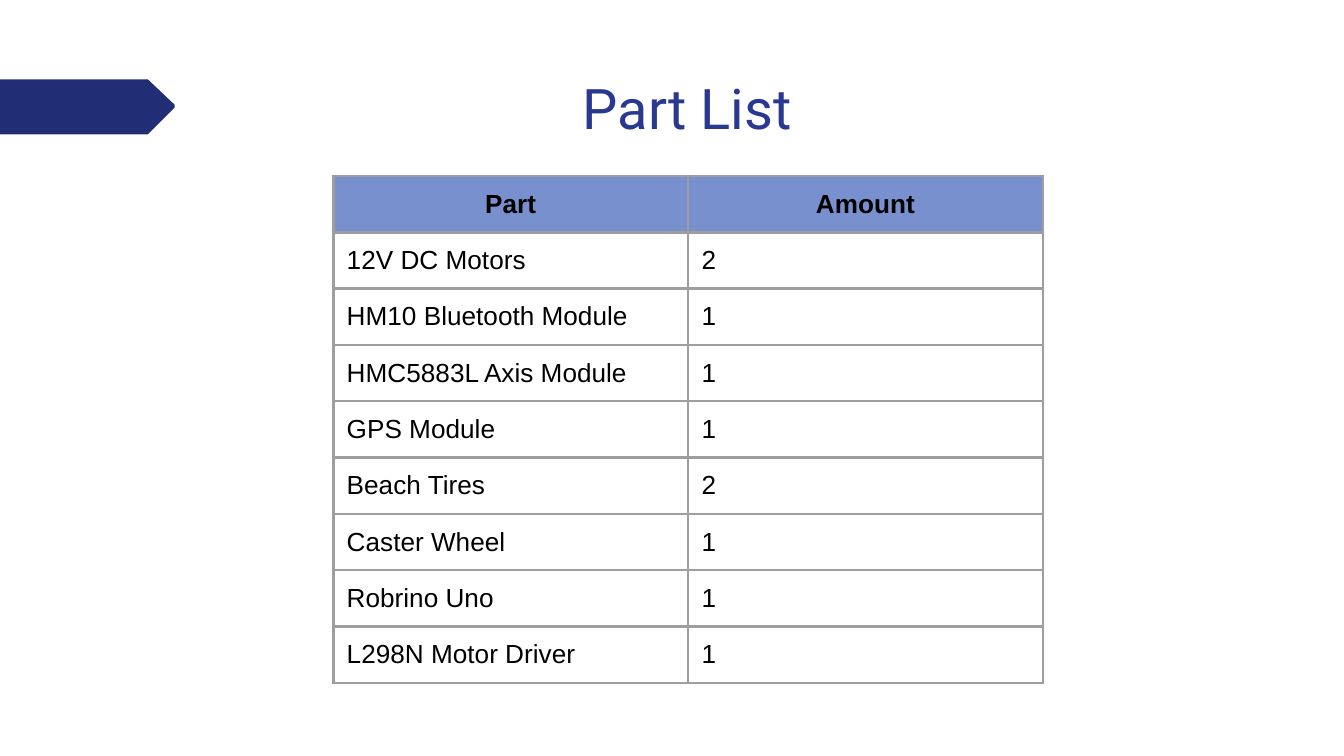
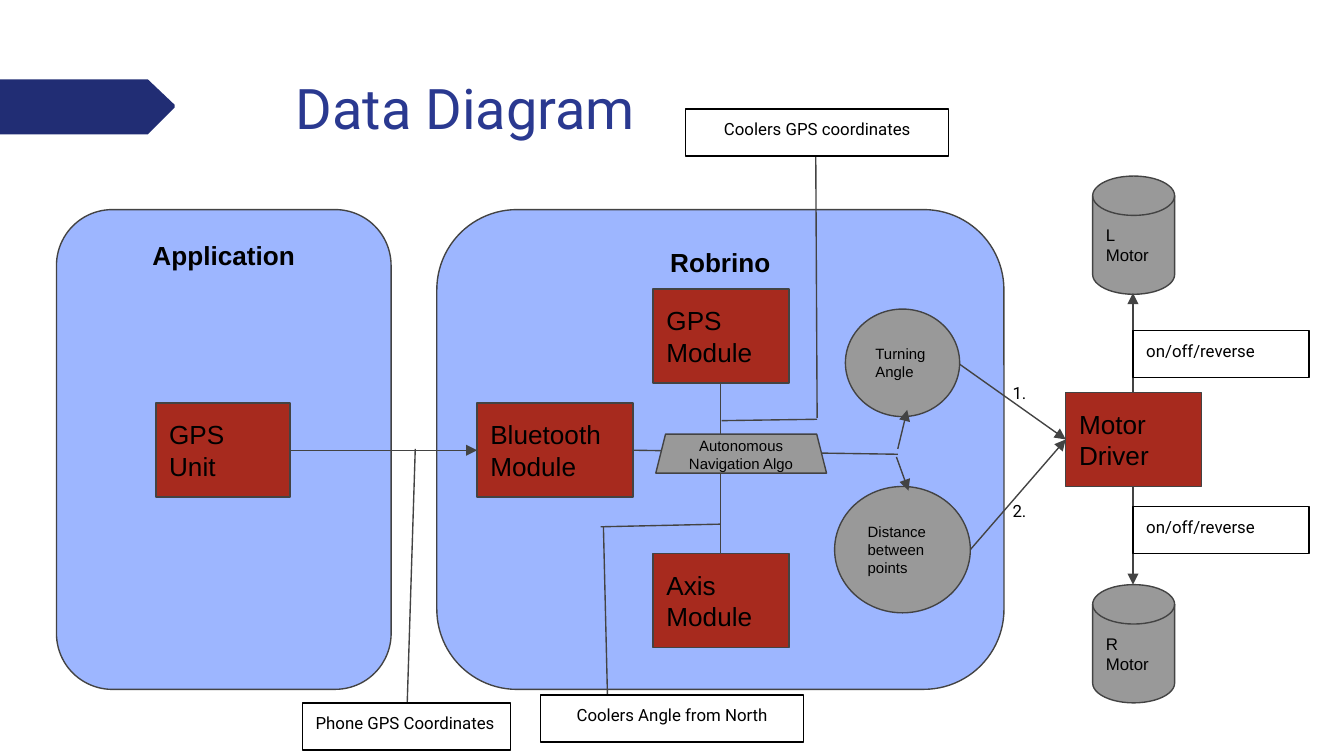
from typing import NamedTuple

from lxml.etree import SubElement
from pptx import Presentation
from pptx.dml.color import RGBColor
from pptx.enum.shapes import MSO_CONNECTOR, MSO_SHAPE
from pptx.enum.text import MSO_ANCHOR, MSO_AUTO_SIZE, PP_ALIGN
from pptx.oxml.ns import qn
from pptx.util import Pt

PX = 9144  # 100 px to the inch

COLORS = {
    "band": "212D74", "title": "2A3990", "text": "000000",
    "header": "7890CD", "grid": "9E9E9E", "panel": "4071FF",
    "module": "A72A1E", "data": "999999", "stroke": "434343",
}

# Styles: fill and line name a colour, frame and font hold attribute values
TOP, MIDDLE = MSO_ANCHOR.TOP, MSO_ANCHOR.MIDDLE
LEFT, CENTER = PP_ALIGN.LEFT, PP_ALIGN.CENTER
FIXED, GROW = MSO_AUTO_SIZE.NONE, MSO_AUTO_SIZE.SHAPE_TO_FIT_TEXT


def make_style(fill, line, anchor, align, name, size, bold=False, fit=FIXED):
    return {
        "fill": fill, "line": line, "align": align,
        "frame": {"word_wrap": True, "vertical_anchor": anchor, "auto_size": fit},
        "font": {"name": name, "size": Pt(size), "bold": bold},
    }


STYLES = {
    "panel": make_style("panel", "stroke", TOP, CENTER, "Arial", 14, True),
    "module": make_style("module", "stroke", MIDDLE, LEFT, "Arial", 14),
    "data": make_style("data", "stroke", MIDDLE, LEFT, "Arial", 8),
    "algorithm": make_style("data", "stroke", MIDDLE, CENTER, "Arial", 8),
    "motor": make_style("data", "stroke", MIDDLE, LEFT, "Arial", 9),
    "label": make_style(None, "text", TOP, LEFT, "Roboto", 9, fit=GROW),
    "callout": make_style(None, "text", TOP, CENTER, "Roboto", 9, fit=GROW),
    "number": make_style(None, None, TOP, CENTER, "Roboto", 9, fit=GROW),
}
TITLE_FONT = {"name": "Roboto", "size": Pt(30), "bold": False}
HEADER_FONT = {"name": "Arial", "size": Pt(14), "bold": True}
BODY_FONT = {**HEADER_FONT, "bold": False}

PARTS = [
    ("Part", "Amount"),
    ("12V DC Motors", "2"),
    ("HM10 Bluetooth Module", "1"),
    ("HMC5883L Axis Module", "1"),
    ("GPS Module", "1"),
    ("Beach Tires", "2"),
    ("Caster Wheel", "1"),
    ("Robrino Uno", "1"),
    ("L298N Motor Driver", "1"),
]


class Box(NamedTuple):
    left: int
    top: int
    width: int
    height: int

    def inner(self, left, top, width, height):
        return Box(self.left + left, self.top + top, width, height)

    def emu(self):
        return [value * PX for value in self]


def color(name):
    return RGBColor.from_string(COLORS[name])


def set_all(target, values):
    for name, value in values.items():
        setattr(target, name, value)


def set_margins(target, horizontal, vertical):
    set_all(target, {
        "margin_left": horizontal * PX, "margin_right": horizontal * PX,
        "margin_top": vertical * PX, "margin_bottom": vertical * PX,
    })


def write(frame, text, font, align, color_name="text"):
    frame.text = text
    paragraph = frame.paragraphs[0]
    paragraph.alignment = align
    set_all(paragraph.runs[0].font, font)
    paragraph.runs[0].font.color.rgb = color(color_name)


def paint(shape, fill, line):
    if fill:
        shape.fill.solid()
        shape.fill.fore_color.rgb = color(fill)
    else:
        shape.fill.background()
    if line:
        shape.line.color.rgb = color(line)
        shape.line.width = Pt(0.75)
    else:
        shape.line.fill.background()


def add_node(slide, box, text, style_name, kind=MSO_SHAPE.RECTANGLE):
    style = STYLES[style_name]
    if style["line"]:
        shape = slide.shapes.add_shape(kind, *box.emu())
        shape.shadow.inherit = False
    else:
        shape = slide.shapes.add_textbox(*box.emu())
    paint(shape, style["fill"], style["line"])
    frame = shape.text_frame
    set_all(frame, style["frame"])
    set_margins(frame, 10, 10)
    write(frame, text, style["font"], style["align"])
    return shape


def add_panel(slide, box, text):
    panel = add_node(slide, box, text, "panel", MSO_SHAPE.ROUNDED_RECTANGLE)
    panel.adjustments[0] = 0.167
    fill_color = panel.element.spPr.find(qn("a:solidFill"))[0]
    SubElement(fill_color, qn("a:alpha"), val="51000")


def add_lines(slide, box, lines, arrow=False):
    """Draw lines given as (x1, y1, x2, y2) relative to the box."""
    for x1, y1, x2, y2 in lines:
        start = box.inner(x1, y1, 0, 0).emu()[:2]
        end = box.inner(x2, y2, 0, 0).emu()[:2]
        connector = slide.shapes.add_connector(MSO_CONNECTOR.STRAIGHT, *start, *end)
        connector.line.color.rgb = color("stroke")
        connector.line.width = Pt(0.75)
        properties = connector.element.spPr
        if arrow:
            SubElement(properties.find(qn("a:ln")), qn("a:tailEnd"), type="triangle")
        SubElement(properties, qn("a:effectLst"))


def add_band(slide, box):
    tip, middle = box.width - 20, box.height // 2
    corners = [(tip, 0), (box.width, middle - 1), (box.width, middle + 1),
               (tip, box.height), (0, box.height)]
    builder = slide.shapes.build_freeform(box.left * PX, box.top * PX)
    builder.add_line_segments(
        [((box.left + x) * PX, (box.top + y) * PX) for x, y in corners])
    band = builder.convert_to_shape()
    band.shadow.inherit = False
    paint(band, "band", None)


def add_titled_slide(presentation, text, box, align):
    slide = presentation.slides.add_slide(presentation.slide_layouts[5])
    add_band(slide, Box(0, 59, 130, 41))
    title = slide.shapes.title
    title.left, title.top, title.width, title.height = box.emu()
    frame = title.text_frame
    set_all(frame, {"word_wrap": True, "auto_size": FIXED, "vertical_anchor": TOP})
    set_margins(frame, 7, 4)
    write(frame, text, TITLE_FONT, align, "title")
    return slide


def add_borders(cell):
    properties = cell._tc.get_or_add_tcPr()
    for side in ("lnL", "lnR", "lnT", "lnB"):
        border = SubElement(properties, qn(f"a:{side}"), w=str(Pt(1.5)))
        fill = SubElement(border, qn("a:solidFill"))
        SubElement(fill, qn("a:srgbClr"), val=COLORS["grid"])


def draw_part_table(slide, box):
    rows, columns = len(PARTS), len(PARTS[0])
    table = slide.shapes.add_table(rows, columns, *box.emu()).table
    set_all(table, {"first_row": False, "horz_banding": False})
    for column in table.columns:
        column.width = box.width * PX // columns
    for index, values in enumerate(PARTS):
        is_header = index == 0
        table.rows[index].height = box.height * PX // rows
        for cell, text in zip(table.rows[index].cells, values):
            set_margins(cell, 10, 10)
            add_borders(cell)
            if is_header:
                cell.fill.solid()
                cell.fill.fore_color.rgb = color("header")
            else:
                cell.fill.background()
            write(cell.text_frame, text, HEADER_FONT if is_header else BODY_FONT,
                  CENTER if is_header else LEFT)


def draw_controller(slide, box):
    add_panel(slide, box, "Robrino")
    # Modules and computed values
    add_node(slide, box.inner(30, 144, 116, 70), "Bluetooth Module", "module")
    add_node(slide, box.inner(161, 256, 101, 70), "Axis Module", "module")
    add_node(slide, box.inner(161, 59, 101, 70), "GPS Module", "module")
    add_node(slide, box.inner(304, 74, 85, 80), "Turning Angle", "data", MSO_SHAPE.OVAL)
    add_node(slide, box.inner(296, 206, 101, 94), "Distance between points",
             "data", MSO_SHAPE.OVAL)
    # Inputs to the algorithm, then its outputs
    add_lines(slide, box, [(146, 179, 343, 182), (211, 129, 211, 180),
                           (211, 256, 211, 179)])
    add_lines(slide, box, [(343, 178, 350, 149), (342, 184, 351, 209),
                           (389, 115, 468, 171), (397, 253, 468, 171)], arrow=True)
    # Callouts with their leader lines
    add_lines(slide, box, [(212, 157, 283, 156), (283, 155, 282, -40),
                           (211, 234, 122, 236), (124, 236, 127, 361)])
    add_node(slide, box.inner(185, -75, 196, 35), "Coolers GPS coordinates", "callout")
    add_node(slide, box.inner(77, 361, 196, 35), "Coolers Angle from North", "callout")
    add_node(slide, box.inner(163, 167, 127, 29), "Autonomous Navigation Algo",
             "algorithm", MSO_SHAPE.TRAPEZOID)
    for number, top in (("1.", 121), ("2.", 209)):
        add_node(slide, box.inner(409, top, 49, 35), number, "number")


def draw_application(slide, box):
    add_panel(slide, box, "Application")
    add_node(slide, box.inner(74, 144, 100, 70), "GPS Unit", "module")
    add_lines(slide, box, [(174, 179, 313, 179)], arrow=True)
    add_lines(slide, box, [(267, 178, 261, 367)])
    add_node(slide, box.inner(183, 367, 155, 35), "Phone GPS Coordinates", "label")


def draw_motors(slide, box):
    add_node(slide, box.inner(0, 161, 101, 70), "Motor Driver", "module")
    for text, top in (("L Motor", 0), ("R Motor", 304)):
        add_node(slide, box.inner(20, top, 61, 88), text, "motor",
                 MSO_SHAPE.FLOWCHART_MAGNETIC_DISK)
    add_lines(slide, box, [(50, 161, 50, 87), (50, 231, 50, 304)], arrow=True)
    for top in (115, 246):
        add_node(slide, box.inner(50, top, 131, 35), "on/off/reverse", "label")


def main():
    presentation = Presentation()
    presentation.slide_width = 1000 * PX
    presentation.slide_height = presentation.slide_width * 9 // 16

    # Part list
    slide = add_titled_slide(presentation, "Part List", Box(146, 51, 731, 59), CENTER)
    draw_part_table(slide, Box(248, 131, 528, 376))

    # Data diagram
    slide = add_titled_slide(presentation, "Data Diagram", Box(213, 51, 283, 80), LEFT)
    draw_controller(slide, Box(325, 156, 422, 357))
    draw_application(slide, Box(42, 156, 249, 357))
    draw_motors(slide, Box(793, 131, 181, 392))

    presentation.save("out.pptx")


if __name__ == "__main__":
    main()
